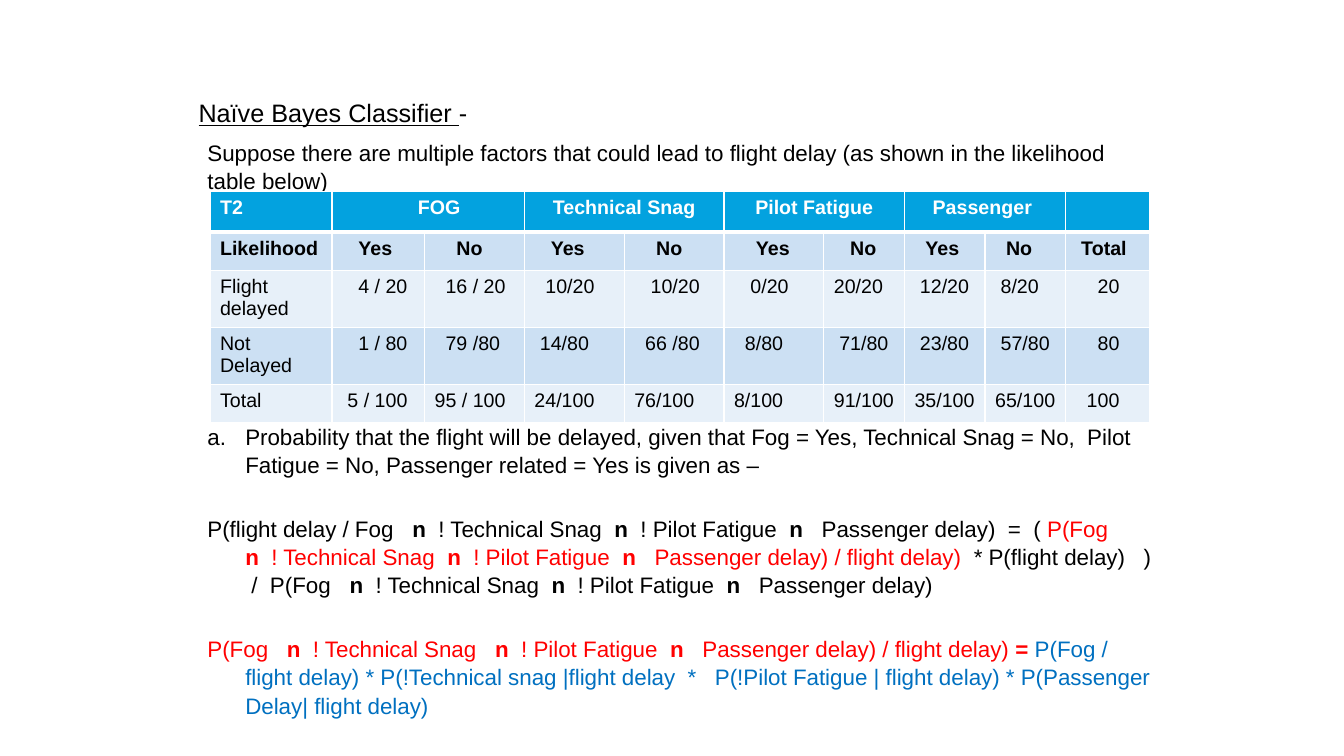
from lxml.etree import SubElement
from pptx import Presentation
from pptx.dml.color import RGBColor
from pptx.enum.text import MSO_ANCHOR as Anchor, PP_ALIGN as Align
from pptx.oxml.ns import qn
from pptx.util import Pt

COLORS = {
    "black": "000000", "white": "FFFFFF", "red": "FF0000", "blue": "0070C0",
    "header": "03A2DF", "band": "CCE0F3", "pale": "E7F0F9",
}
SPACE = 3.9


def add_run(paragraph, text, size=16, color="black", bold=False, underline=False):
    run = paragraph.add_run()
    run.text = text
    run.font.name = "Arial"
    run.font.size = Pt(size)
    run.font.bold = bold
    run.font.underline = underline
    run.font.color.rgb = RGBColor.from_string(COLORS[color])


def add_border(cell_props, position, side, width):
    line = SubElement(cell_props, qn(f"a:{side}"), w=str(Pt(width)))
    fill = SubElement(line, qn("a:solidFill"))
    SubElement(fill, qn("a:srgbClr"), val=COLORS["white"])
    cell_props.insert(position, line)


prs = Presentation()
prs.slide_width, prs.slide_height = Pt(960), Pt(540)
slide = prs.slides.add_slide(prs.slide_layouts[5])

heading = slide.shapes.title
heading.left, heading.top, heading.width, heading.height = Pt(134.6), Pt(66.2), Pt(663), Pt(32.4)
heading.text_frame.vertical_anchor = Anchor.TOP
heading_line = heading.text_frame.paragraphs[0]
heading_line.alignment = Align.LEFT
add_run(heading_line, "Naïve Bayes Classifier ", size=18, underline=True)
add_run(heading_line, "-", size=18)

snag = ["   ", "n", "  ! Technical Snag  "]
fatigue = ["n", "  ! Pilot Fatigue  ", "n", "   Passenger delay)"]
evidence = snag + fatigue

explanation = [
    (0, 0, [("black", ["Suppose there are multiple factors that could lead to flight delay "
                       "(as shown in the likelihood  table below)"])]),
    (162.5, 27, [("black", ["Probability that the flight will be delayed, given that Fog = Yes, "
                            "Technical Snag = No,  Pilot Fatigue = No, Passenger related = Yes "
                            "is given as –"])]),
    (25.5, 27, [("black", ["P(flight delay / Fog", *evidence, "  =  ( "]),
                ("red", ["P(Fog", *evidence, " / flight delay)"]),
                ("black", ["  * P(flight delay)   )  /  P(Fog", *evidence])]),
    (25.5, 27, [("red", ["P(Fog", *snag, " ", *fatigue, " / flight delay) ", "= "]),
                ("blue", ["P(Fog / flight delay) * P(!Technical snag |flight delay  *   "
                          "P(!Pilot Fatigue | flight delay) * P(Passenger Delay| flight delay)"])]),
]
body = slide.shapes.add_textbox(Pt(141.1), Pt(95), Pt(690), Pt(430)).text_frame
body.word_wrap = True
for index, (gap, indent, parts) in enumerate(explanation):
    paragraph = body.add_paragraph() if index else body.paragraphs[0]
    paragraph.space_before = Pt(gap)
    paragraph.line_spacing = 1.05
    props = paragraph._p.get_or_add_pPr()
    props.set("marL", str(Pt(indent)))
    props.set("indent", str(-Pt(indent)))
    if index == 1:
        SubElement(props, qn("a:buFont"), typeface="Arial")
        SubElement(props, qn("a:buAutoNum"), type="alphaLcPeriod")
    for color, pieces in parts:
        for piece in pieces:
            add_run(paragraph, piece, color=color, bold=piece in ("n", "= "))

likelihoods = [
    ["T2", "FOG", "", "Technical Snag", "", "Pilot Fatigue", "", "Passenger ", "", ""],
    ["Likelihood", "Yes", "No", "Yes", "No", "Yes", "No", "Yes", "No", "Total"],
    ["Flight delayed", "4 / 20", "16 / 20", "10/20", "10/20", "0/20", "20/20", "12/20", "8/20", "20"],
    ["Not Delayed", "1 / 80", "79 /80", "14/80", "66 /80", "8/80", "71/80", "23/80", "57/80", "80"],
    ["Total", "5 / 100", "95 / 100", "24/100", "76/100", "8/100", "91/100", "35/100", "65/100", "100"],
]
indents = [
    [0, 4, 0, 0, 0, 0, 0, 0, 0, 0],
    [0, 3, 4, 3, 4, 4, 3, 2, 2, 1],
    [0, 3, 2, 2, 3, 3, 0, 1, 1, 4],
    [0, 3, 2, 1, 2, 2, 1, 1, 1, 4],
    [0, 1, 0, 0, 0, 0, 0, 0, 0, 2],
]
column_widths = [87.1, 66.2] + [71.3] * 4 + [57.6] * 3 + [59.8]
row_heights = [26.7, 27.4, 40.7, 40.7, 26.7]

table = slide.shapes.add_table(
    5, 10, Pt(150), Pt(137), Pt(sum(column_widths)), Pt(sum(row_heights))).table
for column, width in zip(table.columns, column_widths):
    column.width = Pt(width)
for row, height in zip(table.rows, row_heights):
    row.height = Pt(height)
for first in range(1, 9, 2):
    table.cell(0, first).merge(table.cell(0, first + 1))

for r, texts in enumerate(likelihoods):
    fill = "header" if r == 0 else "band" if r % 2 else "pale"
    border_widths = {"lnL": 1, "lnR": 1, "lnT": 3 if r == 1 else 1, "lnB": 3 if r == 0 else 1}
    for c, text in enumerate(texts):
        cell = table.cell(r, c)
        cell.fill.solid()
        cell.fill.fore_color.rgb = RGBColor.from_string(COLORS[fill])
        cell.margin_left = Pt(7.2 + SPACE * indents[r][c])
        paragraph = cell.text_frame.paragraphs[0]
        paragraph.alignment = Align.CENTER if r == 0 and c else Align.LEFT
        add_run(paragraph, text, size=14, color="black" if r else "white", bold=r < 2)
        for position, (side, width) in enumerate(border_widths.items()):
            add_border(cell._tc.get_or_add_tcPr(), position, side, width)

prs.save("out.pptx")
